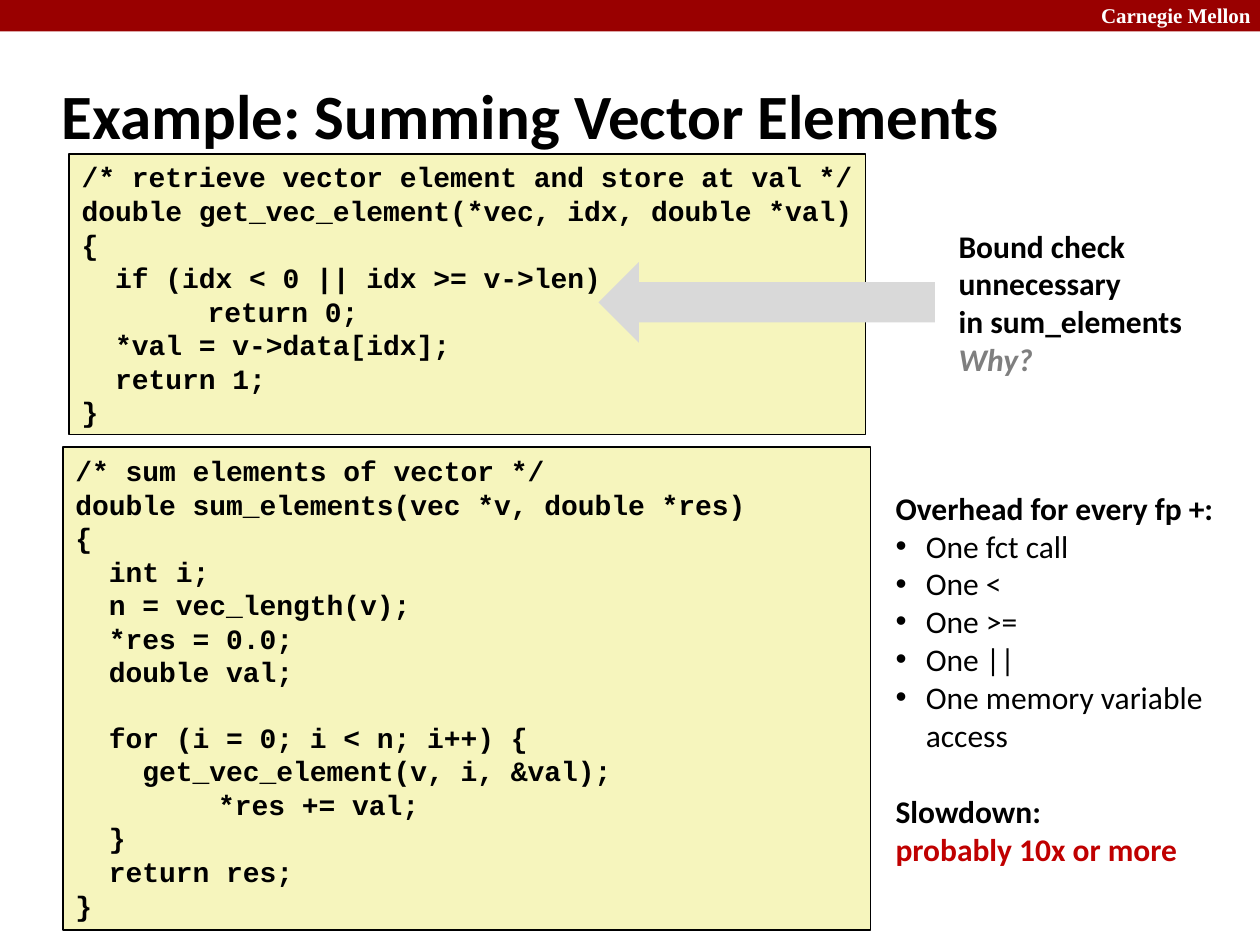
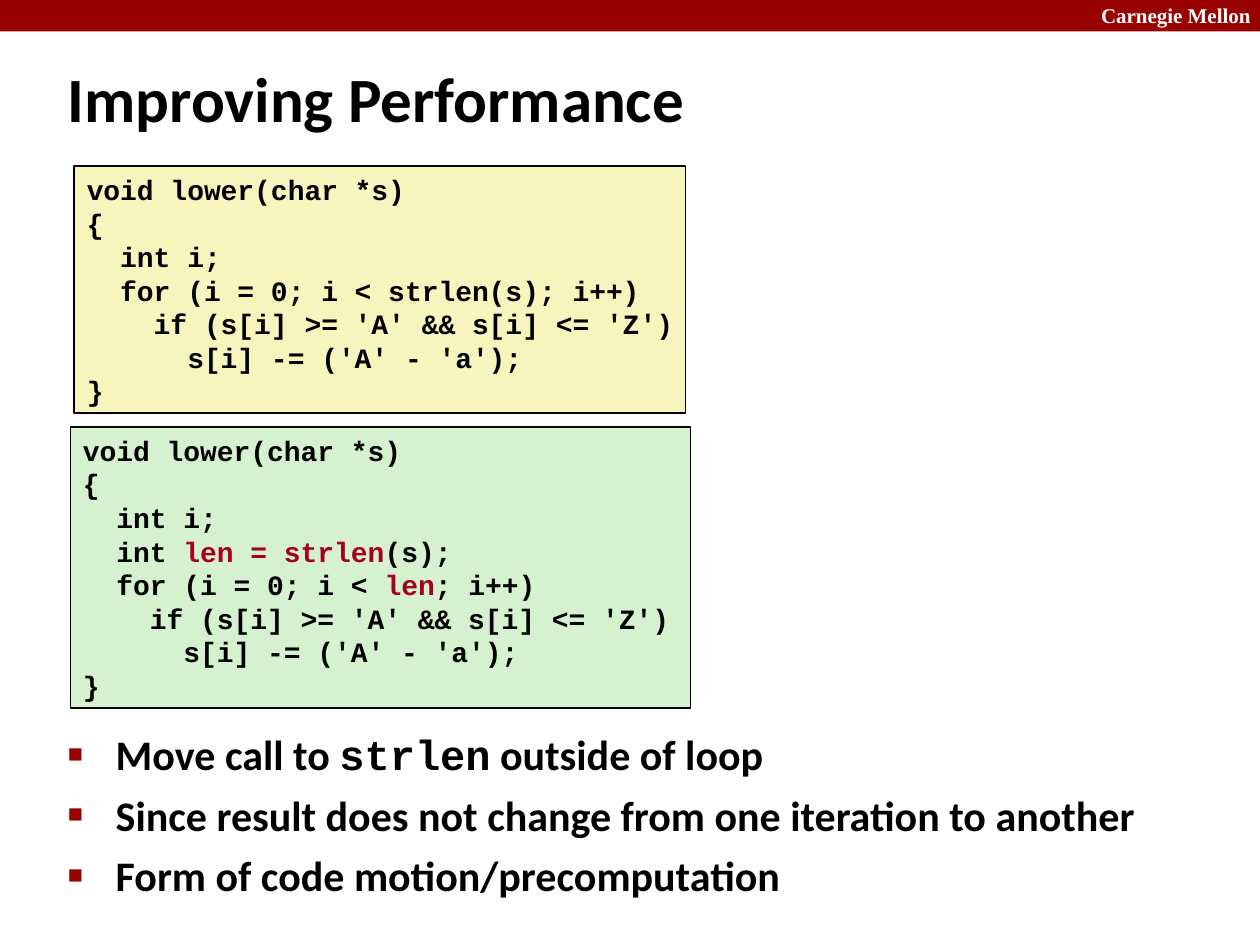
"""Build two code slides on a grid of 100 columns by 75 rows."""
from lxml.etree import SubElement
from pptx import Presentation
from pptx.dml.color import RGBColor
from pptx.enum.shapes import MSO_SHAPE as Form
from pptx.enum.text import MSO_ANCHOR as Anchor, PP_ALIGN as Align
from pptx.oxml.ns import qn
from pptx.util import Inches, Pt

SANS, MONO, SERIF = "Calibri", "Courier New", "Times New Roman"
BLACK, WHITE, GRAY, SILVER = "000000", "FFFFFF", "7F7F7F", "D9D9D9"
BAND, RED, WINE = "990000", "C00000", "A50021"
CREAM, MINT = "F6F5BD", "D5F1CF"


def hue(code):
    return RGBColor.from_string(code)


class Deck:
    def __init__(self):
        self.prs = Presentation()
        self.prs.slide_width, self.prs.slide_height = Inches(10), Inches(7.5)
        self.col = self.prs.slide_width / 100
        self.row = self.prs.slide_height / 75

    def area(self, x, y, w, h):
        return (round(x * self.col), round(y * self.row),
                round(w * self.col), round(h * self.row))

    def page(self, title, spot):
        self.slide = self.prs.slides.add_slide(self.prs.slide_layouts[6])
        self.block(Form.RECTANGLE, (0, 0, 100, 2.5), BAND)
        name = self.box((86.4, -0.3, 14.3, 3))
        self.line(name, "Carnegie Mellon", 12, SERIF, WHITE)
        head = self.box(spot)
        head.vertical_anchor = Anchor.MIDDLE
        self.line(head, title, 36)

    def block(self, form, spot, fill, edge=None):
        shape = self.slide.shapes.add_shape(form, *self.area(*spot))
        shape.shadow.inherit = False
        shape.fill.solid()
        shape.fill.fore_color.rgb = hue(fill)
        if edge:
            shape.line.color.rgb = hue(edge)
            shape.line.width = Pt(1)
        else:
            shape.line.fill.background()
        return shape

    def frame(self, shape):
        text = shape.text_frame
        text.word_wrap = True
        text.margin_right = 0
        text.vertical_anchor = Anchor.TOP
        return text

    def box(self, spot):
        return self.frame(self.slide.shapes.add_textbox(*self.area(*spot)))

    def line(self, text, words, size=18, face=SANS, color=BLACK, bold=True,
             slant=False, gap=0, dot=None, tab=False, mark=None):
        first = text.paragraphs[0]
        para = text.add_paragraph() if first.runs else first
        para.alignment = Align.LEFT
        if gap and para is not first:
            para.space_before = Pt(gap)
        if dot:
            self.bullet(para, *dot)
        if tab:
            stops = SubElement(para._p.get_or_add_pPr(), qn("a:tabLst"))
            SubElement(stops, qn("a:tab"), pos=str(Inches(1)), algn="l")
        font = para.font
        font.size, font.name, font.bold, font.italic = Pt(size), face, bold, slant
        font.color.rgb = hue(color)
        for i, part in enumerate(words.split("`")):
            for j, piece in enumerate(part.split("\n")):
                if j:
                    para.add_line_break()
                run = para.add_run()
                run.text = piece
                if i % 2:
                    look, tint = mark
                    run.font.name = look
                    run.font.color.rgb = hue(tint)

    def bullet(self, para, sign, color, scale, inset):
        props = para._p.get_or_add_pPr()
        props.set("marL", str(Inches(inset)))
        props.set("indent", str(-Inches(inset)))
        tint = SubElement(props, qn("a:buClr"))
        SubElement(tint, qn("a:srgbClr"), val=color)
        SubElement(props, qn("a:buSzPct"), val=str(scale * 1000))
        SubElement(props, qn("a:buFont"), typeface="Arial")
        SubElement(props, qn("a:buChar"), char=sign)

    def code(self, spot, rows, fill=CREAM):
        text = self.frame(self.block(Form.RECTANGLE, spot, fill, BLACK))
        gap = 0
        for row in rows:
            if row:
                self.line(text, row, 16, MONO, gap=gap, tab="\t" in row,
                          mark=(MONO, WINE))
            gap = 0 if row else 18.1


def vector(deck):
    deck.page("Example: Summing Vector Elements", (3.9, 4.9, 83, 8.3))
    deck.code((5, 35.5, 64.1, 38.3), [
        "/* sum elements of vector */",
        "double sum_elements(vec *v, double *res)",
        "{",
        "  int i;",
        "  n = vec_length(v);",
        "  *res = 0.0;",
        "  double val;",
        "",
        "  for (i = 0; i < n; i++) {",
        "    get_vec_element(v, i, &val);",
        "\t *res += val;",
        "  }",
        "  return res;",
        "}"])
    deck.code((5.5, 12.2, 63.2, 22.3), [
        "/* retrieve vector element and store at val */",
        "double get_vec_element(*vec, idx, double *val)",
        "{",
        "  if (idx < 0 || idx >= v->len)",
        "\treturn 0;",
        "  *val = v->data[idx];",
        "  return 1;",
        "}"])
    cost = deck.box((70.1, 38.3, 27.3, 31))
    deck.line(cost, "Overhead for every fp +:")
    for item in ("One fct call", "One <", "One >=", "One ||",
                 "One memory variable\naccess"):
        deck.line(cost, item, bold=False, dot=("•", BLACK, 100, 0.24))
    deck.line(cost, "Slowdown:", gap=22)
    deck.line(cost, "probably 10x or more", color=RED)
    deck.block(Form.LEFT_ARROW, (47.5, 20.8, 26.7, 6.4), SILVER)
    note = deck.box((75.1, 17.5, 19.7, 13))
    for words in ("Bound check", "unnecessary", "in sum_elements"):
        deck.line(note, words)
    deck.line(note, "Why?", color=GRAY, slant=True)


def motion(deck):
    deck.page("Improving Performance", (4.4, 4.6, 68.1, 6.3))
    body = deck.box((4.4, 57.3, 90.9, 16))
    for item in ("Move call to `strlen` outside of loop",
                 "Since result does not change from one iteration to another",
                 "Form of code motion/precomputation"):
        deck.line(body, item, 24, gap=6, dot=("■", BAND, 60, 0.38),
                  mark=(MONO, BLACK))
    top = ["void lower(char *s)", "{", "  int i;"]
    end = ["    if (s[i] >= 'A' && s[i] <= 'Z')",
           "      s[i] -= ('A' - 'a');", "}"]
    slow = ["  for (i = 0; i < strlen(s); i++)"]
    fast = ["  int `len = strlen`(s);", "  for (i = 0; i <` len`; i++)"]
    deck.code((5.6, 33.9, 49.2, 22.3), top + fast + end, MINT)
    deck.code((5.9, 13.2, 48.5, 19.6), top + slow + end)


def main():
    deck = Deck()
    vector(deck)
    motion(deck)
    deck.prs.save("out.pptx")


if __name__ == "__main__":
    main()
